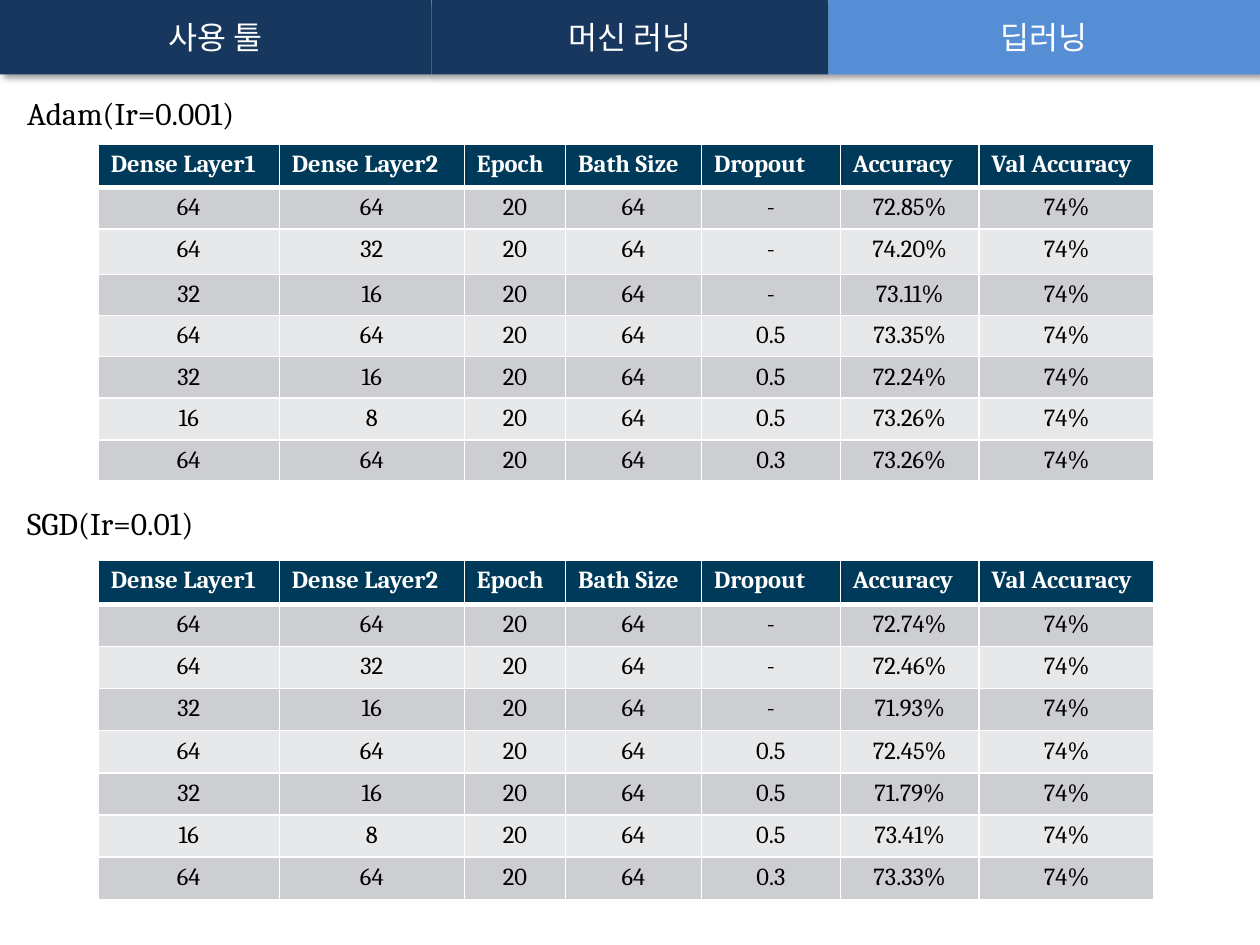
"""Build the slide comparing Adam and SGD training results."""
from dataclasses import dataclass

import pptx
import pptx.dml.color
import pptx.enum.shapes
import pptx.enum.text
import pptx.oxml
import pptx.oxml.ns
import pptx.util

Cm = pptx.util.Cm
CENTER = pptx.enum.text.PP_ALIGN.CENTER
LEFT = pptx.enum.text.PP_ALIGN.LEFT
NSDECLS = pptx.oxml.ns.nsdecls("a")


@dataclass(frozen=True)
class Theme:
    navy: str = "17375E"
    active: str = "558ED5"
    header: str = "003A5A"
    bands: tuple[str, str] = ("CCCED2", "E7E8EA")
    white: str = "FFFFFF"
    black: str = "000000"
    font: str = "Cambria"
    korean: str = "Noto Sans CJK KR"
    title_size: int = 18
    cell_size: int = 14


@dataclass(frozen=True)
class Tab:
    text: str
    width: float
    color: str


@dataclass(frozen=True)
class Experiment:
    title: str
    title_top: float
    table_top: float
    row_heights: tuple[float, ...]
    accuracies: tuple[str, ...]


THEME = Theme()
TABS = (
    Tab("사용 툴", 8.7, THEME.navy),
    Tab("머신 러닝", 8, THEME.navy),
    Tab("딥러닝", 8.7, THEME.active),
)
TAB_HEIGHT = 1.5
TABLE_LEFT = 1.98
COLUMNS = {
    "Dense Layer1": 3.65,
    "Dense Layer2": 3.73,
    "Epoch": 2.04,
    "Bath Size": 2.74,
    "Dropout": 2.8,
    "Accuracy": 2.8,
    "Val Accuracy": 3.53,
}
EPOCH, BATCH_SIZE, VAL_ACCURACY = "20", "64", "74%"
MODELS = (
    ("64", "64", "-"),
    ("64", "32", "-"),
    ("32", "16", "-"),
    ("64", "64", "0.5"),
    ("32", "16", "0.5"),
    ("16", "8", "0.5"),
    ("64", "64", "0.3"),
)
EXPERIMENTS = (
    Experiment(
        "Adam(Ir=0.001)", 1.78, 2.9,
        (0.88, 0.84, 0.91, 0.83, 0.83, 0.83, 0.85, 0.83),
        ("72.85%", "74.20%", "73.11%", "73.35%", "72.24%", "73.26%", "73.26%"),
    ),
    Experiment(
        "SGD(Ir=0.01)", 10.03, 11.3,
        (0.88,) + (0.85,) * len(MODELS),
        ("72.74%", "72.46%", "71.93%", "72.45%", "71.79%", "73.41%", "73.33%"),
    ),
)


def rgb(color: str) -> pptx.dml.color.RGBColor:
    """Return the colour object for a hex value."""
    return pptx.dml.color.RGBColor.from_string(color)


def write(tf, text: str, color: str, size: int, name: str = THEME.font,
          bold: bool = False, align=LEFT) -> None:
    """Put one formatted run in the first paragraph of a text frame."""
    p = tf.paragraphs[0]
    p.alignment = align
    r = p.add_run()
    r.text = text
    for key, value in {"name": name, "size": pptx.util.Pt(size), "bold": bold}.items():
        setattr(r.font, key, value)
    r.font.color.rgb = rgb(color)
    ea = pptx.oxml.parse_xml(f'<a:ea {NSDECLS} typeface="{name}"/>')
    r.font._element.find(pptx.oxml.ns.qn("a:latin")).addnext(ea)


def add_shadow(sp) -> None:
    """Give a shape a soft shadow to the lower right."""
    sp.shadow.inherit = False
    effects = sp._element.spPr.find(pptx.oxml.ns.qn("a:effectLst"))
    effects.append(pptx.oxml.parse_xml(
        f'<a:outerShdw {NSDECLS} blurRad="50800" dist="38100" dir="2700000" '
        f'algn="tl" rotWithShape="0"><a:srgbClr val="{THEME.black}">'
        '<a:alpha val="40000"/></a:srgbClr></a:outerShdw>'))


def add_tab(s, tab: Tab, left: float) -> None:
    """Draw one tab of the navigation bar."""
    sp = s.shapes.add_shape(pptx.enum.shapes.MSO_SHAPE.RECTANGLE,
                            Cm(left), 0, Cm(tab.width), Cm(TAB_HEIGHT))
    sp.fill.solid()
    sp.fill.fore_color.rgb = rgb(tab.color)
    sp.line.fill.background()
    add_shadow(sp)
    sp.text_frame.vertical_anchor = pptx.enum.text.MSO_ANCHOR.MIDDLE
    write(sp.text_frame, tab.text, THEME.white, THEME.title_size,
          THEME.korean, align=CENTER)


def set_borders(cell, widths: dict[str, int]) -> None:
    """Draw white borders of the given point widths around a cell."""
    tc_pr = cell._tc.get_or_add_tcPr()
    for side, width in widths.items():
        tc_pr.append(pptx.oxml.parse_xml(
            f'<a:ln{side} {NSDECLS} w="{pptx.util.Pt(width)}"><a:solidFill>'
            f'<a:srgbClr val="{THEME.white}"/></a:solidFill></a:ln{side}>'))


def add_results(s, experiment: Experiment) -> None:
    """Draw the results table of one experiment."""
    rows = [tuple(COLUMNS)] + [
        (first, second, EPOCH, BATCH_SIZE, dropout, accuracy, VAL_ACCURACY)
        for (first, second, dropout), accuracy in zip(MODELS, experiment.accuracies)
    ]
    table = s.shapes.add_table(
        len(rows), len(COLUMNS), Cm(TABLE_LEFT), Cm(experiment.table_top),
        Cm(sum(COLUMNS.values())), Cm(sum(experiment.row_heights))).table
    for column, width in zip(table.columns, COLUMNS.values()):
        column.width = Cm(width)
    for i, (values, height) in enumerate(zip(rows, experiment.row_heights)):
        table.rows[i].height = Cm(height)
        is_header = i == 0
        fill = THEME.header if is_header else THEME.bands[(i - 1) % 2]
        for cell, value in zip(table.rows[i].cells, values):
            set_borders(cell, {"L": 1, "R": 1, "T": 3 if i == 1 else 1,
                               "B": 3 if is_header else 1})
            cell.fill.solid()
            cell.fill.fore_color.rgb = rgb(fill)
            write(cell.text_frame, value,
                  THEME.white if is_header else THEME.black, THEME.cell_size,
                  bold=is_header, align=LEFT if is_header else CENTER)


def add_title(s, experiment: Experiment) -> None:
    """Write the optimizer name above its table."""
    tf = s.shapes.add_textbox(Cm(0.3), Cm(experiment.title_top),
                              Cm(12.85), Cm(1.02)).text_frame
    tf.word_wrap = True
    tf.auto_size = pptx.enum.text.MSO_AUTO_SIZE.SHAPE_TO_FIT_TEXT
    write(tf, experiment.title, THEME.black, THEME.title_size)


def main() -> None:
    """Build and save the presentation."""
    prs = pptx.Presentation()
    prs.slide_width, prs.slide_height = Cm(25.4), Cm(19.05)
    s = prs.slides.add_slide(prs.slide_layouts[6])
    left = 0
    for tab in TABS:
        add_tab(s, tab, left)
        left += tab.width
    for experiment in EXPERIMENTS:
        add_results(s, experiment)
        add_title(s, experiment)
    prs.save("out.pptx")


if __name__ == "__main__":
    main()
